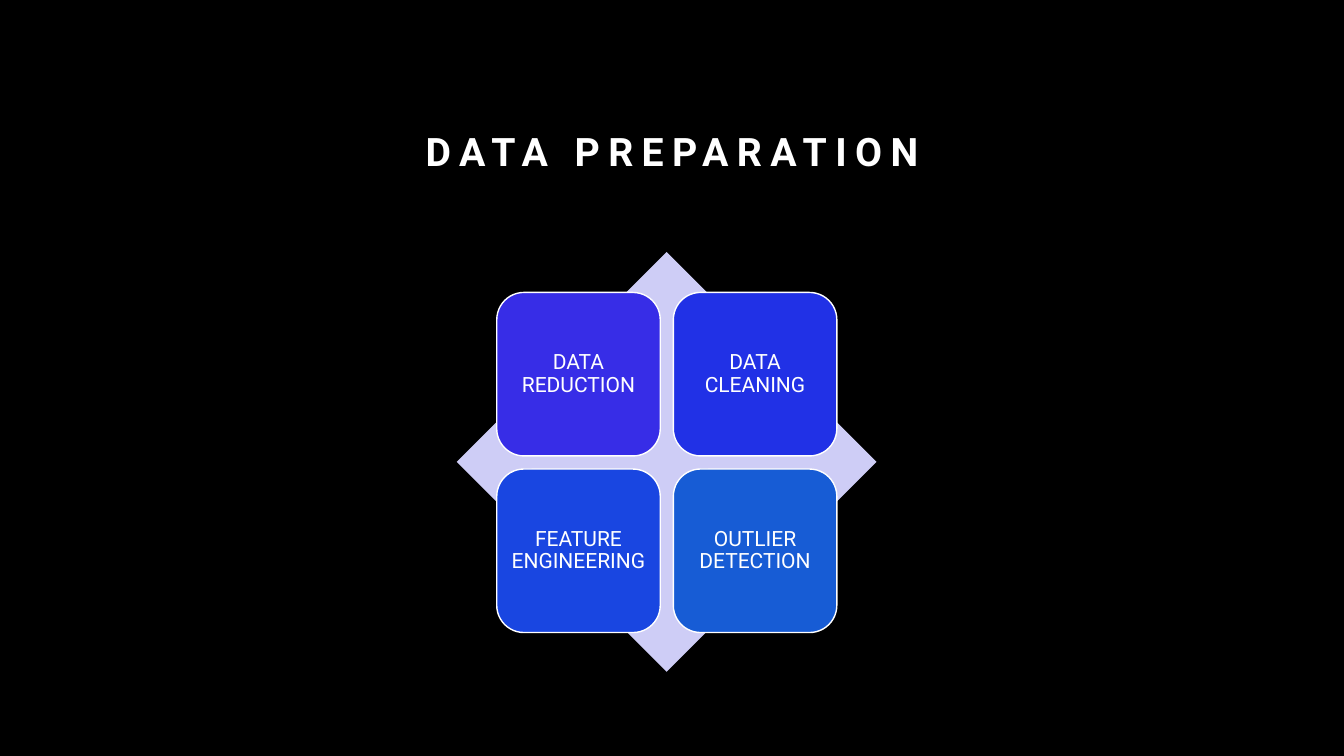
from pptx import Presentation
from pptx.dml.color import RGBColor
from pptx.enum.shapes import MSO_SHAPE
from pptx.enum.text import MSO_ANCHOR, MSO_AUTO_SIZE, PP_ALIGN
from pptx.util import Cm, Pt

DIAMOND = MSO_SHAPE.DIAMOND
ROUNDED = MSO_SHAPE.ROUNDED_RECTANGLE
BOTTOM, MIDDLE = MSO_ANCHOR.BOTTOM, MSO_ANCHOR.MIDDLE
CENTER = PP_ALIGN.CENTER
NO_AUTOFIT = MSO_AUTO_SIZE.NONE

COLORS = {
    "background": "000000",
    "text": "FFFFFF",
    "diamond": "CECDF6",
    "reduction": "372DE7",
    "cleaning": "2131E6",
    "engineering": "1946E1",
    "detection": "175CD5",
}
STEPS = [
    ("DATA REDUCTION", "reduction"),
    ("DATA CLEANING", "cleaning"),
    ("FEATURE ENGINEERING", "engineering"),
    ("OUTLIER DETECTION", "detection"),
]
TILE_LEFT, TILE_TOP = 12.52, 7.37
TILE_SIZE, TILE_PITCH = 4.12, 4.45


def color(name):
    return RGBColor.from_string(COLORS[name])


def apply(target, values):
    for name, value in values.items():
        setattr(target, name, value)


class SlideBuilder:
    font = "Roboto"

    def __init__(self, deck):
        self.slide = deck.slides.add_slide(deck.slide_layouts[5])
        fill = self.slide.background.fill
        fill.solid()
        fill.fore_color.rgb = color("background")
        self.group = self.slide.shapes.add_group_shape()

    def label(self, box, text, frame_format, line_spacing, font_format):
        frame = box.text_frame
        apply(frame, {"word_wrap": True, "auto_size": NO_AUTOFIT, **frame_format})
        para = frame.paragraphs[0]
        apply(para, {"alignment": CENTER, "line_spacing": line_spacing})
        span = para.add_run()
        span.text = text
        apply(span.font, {"name": self.font, **font_format})
        span.font.color.rgb = color("text")
        return span

    def title(self, text, left, top, width, height):
        box = self.slide.shapes.title
        apply(box, {"left": Cm(left), "top": Cm(top), "width": Cm(width), "height": Cm(height)})
        span = self.label(box, text, {"vertical_anchor": BOTTOM}, 1.2,
                          {"size": Pt(28), "bold": True})
        span._r.get_or_add_rPr().set("spc", "600")

    def shape(self, kind, left, top, size, fill_name):
        shape = self.group.shapes.add_shape(kind, Cm(left), Cm(top), Cm(size), Cm(size))
        shape.shadow.inherit = False
        shape.fill.solid()
        shape.fill.fore_color.rgb = color(fill_name)
        shape.line.fill.background()
        return shape

    def tile(self, text, left, top, fill_name):
        box = self.shape(ROUNDED, left, top, TILE_SIZE, fill_name)
        box.line.color.rgb = color("text")
        box.line.width = Pt(1)
        sides = ("left", "top", "right", "bottom")
        margins = {f"margin_{side}": Cm(0.15) for side in sides}
        self.label(box, text, {"vertical_anchor": MIDDLE, **margins}, 0.9, {"size": Pt(15)})


def main():
    deck = Presentation()
    apply(deck, {"slide_width": Cm(33.87), "slide_height": Cm(19.05)})
    page = SlideBuilder(deck)
    page.title("DATA PREPARATION", 4.24, 2.11, 25.4, 2.41)
    page.shape(DIAMOND, 11.51, 6.35, 10.58, "diamond")
    for index, (text, fill_name) in enumerate(STEPS):
        row, column = divmod(index, 2)
        page.tile(text, TILE_LEFT + column * TILE_PITCH, TILE_TOP + row * TILE_PITCH, fill_name)
    deck.save("out.pptx")


if __name__ == "__main__":
    main()
